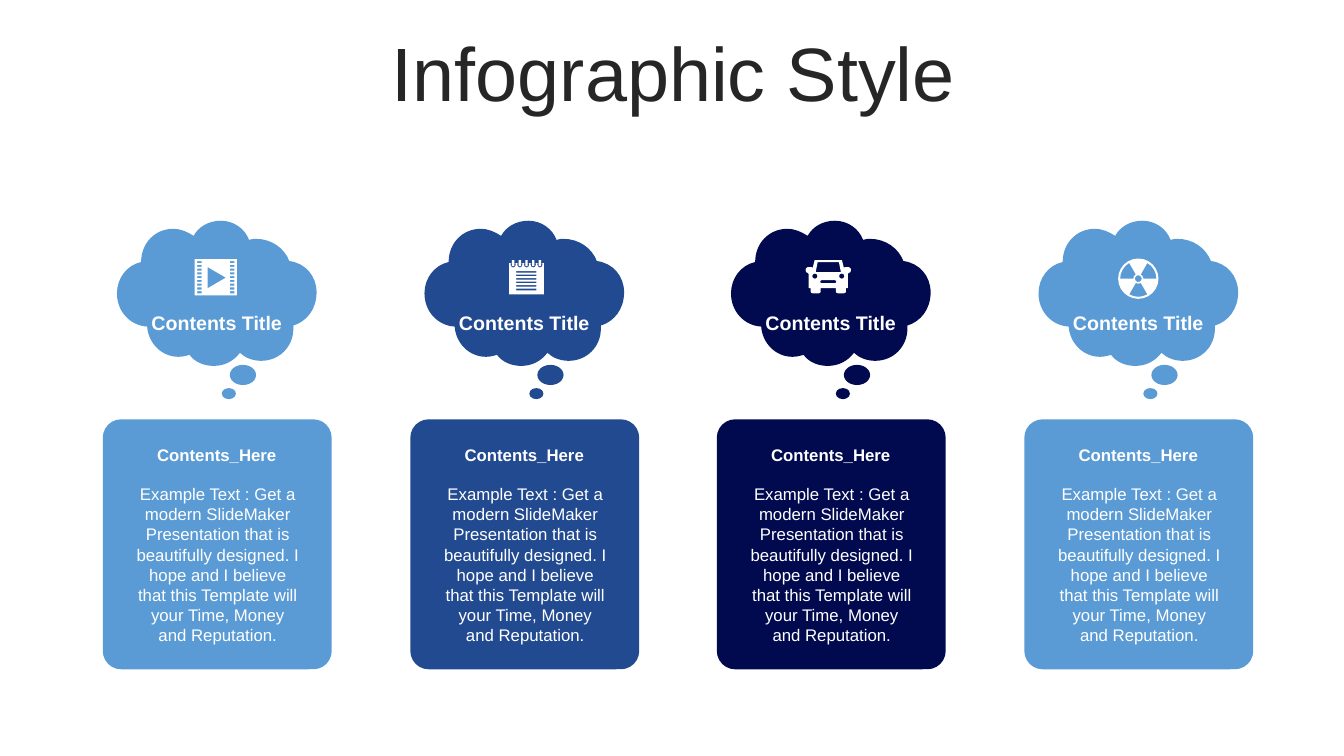
from math import cos, radians, sin

from lxml import etree
from pptx import Presentation
from pptx import util as u
from pptx.dml.color import RGBColor
from pptx.enum import shapes, text
from pptx.oxml import ns

PX = 9144  # 100 px to the inch
SKY = RGBColor(0x5A, 0x9B, 0xD5)
BLUE = RGBColor(0x22, 0x4A, 0x90)
NAVY = RGBColor(0x01, 0x0A, 0x4F)
WHITE = RGBColor(0xFF, 0xFF, 0xFF)
CHARCOAL = RGBColor(0x26, 0x26, 0x26)

BODY = ("Example Text : Get a modern SlideMaker Presentation that is "
        "beautifully designed. I hope and I believe that this Template will "
        "your Time, Money and Reputation.")

deck = Presentation()
deck.slide_width, deck.slide_height = 1333 * PX, 750 * PX
slide = deck.slides.add_slide(deck.slide_layouts[6])


def arc(x, y, radius, start, end, step=45):
    """Points along a circle; angles in degrees, clockwise from the right."""
    count = abs(end - start) // step
    angles = [radians(start + (end - start) * i / count) for i in range(count + 1)]
    return [(x + radius * cos(a), y + radius * sin(a)) for a in angles]


def draw(contours, colour):
    """Fill contours, inner ones as holes; two points are corners of a box."""
    builder = None
    for contour in contours:
        if len(contour) == 2:
            (left, top), (right, bottom) = contour
            contour = [(left, top), (right, top), (right, bottom), (left, bottom)]
        first, *rest = [(x * PX, y * PX) for x, y in contour]
        if builder is None:
            builder = slide.shapes.build_freeform(*first, scale=1.0)
        else:
            builder.move_to(*first)
        builder.add_line_segments(rest, close=True)
    outline = builder.convert_to_shape()
    outline.shadow.inherit = False
    outline.fill.solid()
    outline.fill.fore_color.rgb = colour
    outline.line.fill.background()
    return outline


# Cloud edge in the first column: two control points and an end for each curve
cloud_start = (219, 219)
cloud_curves = [
    ((232, 219), (243, 227), (247, 238)), ((250, 237), (252, 237), (254, 237)),
    ((269, 237), (282, 246), (287, 259)), ((303, 261), (314, 274), (314, 290)),
    ((314, 307), (304, 319), (291, 323)), ((291, 324), (291, 325), (291, 326)),
    ((291, 344), (277, 358), (259, 358)), ((251, 358), (243, 355), (238, 350)),
    ((232, 358), (223, 363), (212, 363)), ((202, 363), (193, 359), (188, 352)),
    ((185, 353), (181, 354), (177, 354)), ((160, 354), (147, 340), (146, 324)),
    ((129, 323), (116, 309), (116, 291)), ((116, 276), (126, 263), (140, 260)),
    ((140, 241), (154, 227), (172, 227)), ((179, 227), (186, 230), (192, 234)),
    ((197, 225), (207, 219), cloud_start),
]
cloud_points = [cloud_start] + [point for curve in cloud_curves for point in curve]

# Kind, left, top, width, height in the first column
column_parts = [
    (shapes.MSO_SHAPE.OVAL, 228, 362, 26, 20),
    (shapes.MSO_SHAPE.OVAL, 220, 385, 14, 11),
    (shapes.MSO_SHAPE.ROUNDED_RECTANGLE, 102, 416, 227, 248),
]
labels = [("Infographic Style", 35, 37, 1266, 79, 54, False, CHARCOAL)]

for column, colour in enumerate([SKY, BLUE, NAVY, SKY]):
    shift = round(column * 914 / 3)
    cloud = draw([[(x + shift, y) for x, y in cloud_points]], colour)
    # Every three straight segments become one Bezier curve
    segments = list(cloud.element.iter(ns.qn("a:lnTo")))
    for first in range(0, len(cloud_curves) * 3, 3):
        curve = etree.Element(ns.qn("a:cubicBezTo"))
        segments[first].addprevious(curve)
        for segment in segments[first:first + 3]:
            curve.append(segment[0])
            segment.getparent().remove(segment)
    for kind, left, top, width, height in column_parts:
        part = slide.shapes.add_shape(
            kind, (left + shift) * PX, top * PX, width * PX, height * PX)
        part.shadow.inherit = False
        part.fill.solid()
        part.fill.fore_color.rgb = colour
        part.line.fill.background()
        if kind == shapes.MSO_SHAPE.ROUNDED_RECTANGLE:
            part.adjustments[0] = 0.08
    labels += [
        ("Contents Title", 124 + shift, 304, 182, 34, 14, True, WHITE),
        (BODY, 125 + shift, 475, 182, 172, 12, False, WHITE),
        ("Contents_Here", 124 + shift, 436, 182, 30, 12, True, WHITE),
    ]

for wording, left, top, width, height, size, bold, colour in labels:
    box = slide.shapes.add_textbox(left * PX, top * PX, width * PX, height * PX)
    frame = box.text_frame
    frame.word_wrap = True
    frame.text = wording
    paragraph = frame.paragraphs[0]
    paragraph.alignment = text.PP_ALIGN.CENTER
    for name, value in {"name": "Arial", "size": u.Pt(size), "bold": bold}.items():
        setattr(paragraph.font, name, value)
    paragraph.font.color.rgb = colour
    if size == 54:
        frame.vertical_anchor = text.MSO_ANCHOR.MIDDLE
        paragraph.line_spacing = 0.9

# Film strip
film = [[(193, 257), (235, 293)], [(206, 265), (206, 286), (224, 275.5)]]
for row in range(9):
    y = 259 + 3.75 * row
    film += [[(x, y), (x + 4.5, y + 2)] for x in (195.5, 228)]
draw(film, WHITE)

# Notepad with ring binding
notepad = [[(505, 261), (539.5, 292)]]
notepad += [[(512, 269 + 3.5 * row), (532, 270.5 + 3.5 * row)] for row in range(6)]
for ring in range(5):
    x = 509 + 6.65 * ring
    notepad.append([(x + 2.5, 261)] + arc(x, 263, 2.5, 0, 180) + [(x - 2.5, 261)])
    notepad.append([(x - 1.2, 258), (x + 1.2, 264)])
draw(notepad, WHITE)

# Car, mirrored about its middle
car_middle = 821.5
car_half = [(13.5, 258), (15.5, 266), (16.5, 265), (20, 265), (22, 266), (22.5, 268),
            (22, 270), (20, 271), (19.5, 272), (19.5, 286), (17.5, 286), (17.5, 289),
            (17, 290.5), (15.5, 291), (9.5, 291), (8, 290.5), (7.5, 289), (7.5, 286)]
window_half = [(10.5, 260), (12.5, 270)]
car = [[(car_middle + x, y) for x, y in half]
       + [(car_middle - x, y) for x, y in reversed(half)]
       for half in (car_half, window_half)]
car += [arc(car_middle + side * 13.3, 274, 2.6, 0, 360) for side in (-1, 1)]
car.append(arc(828, 279.5, 1.5, -90, 90) + arc(815, 279.5, 1.5, 90, 270))
draw(car, WHITE)

# Radiation sign
hub = (1129, 276.5)
radiation = [arc(*hub, radius, 0, 360, 15) for radius in (20, 3.3)]
radiation += [arc(*hub, 18, turn, turn + 60, 15) + arc(*hub, 5, turn + 60, turn, 30)
              for turn in (60, 180, 300)]
draw(radiation, WHITE)

deck.save("out.pptx")
